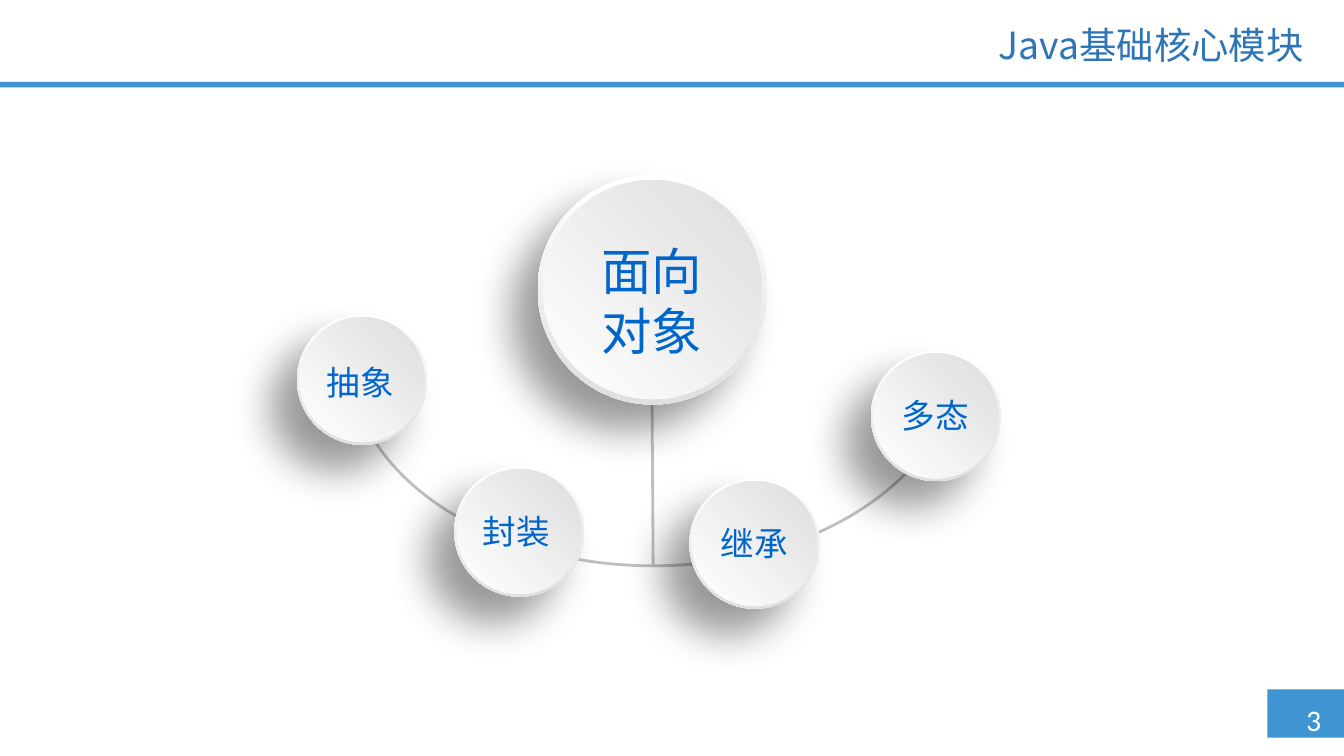
import pptx
import pptx.dml.color
import pptx.enum.shapes
import pptx.enum.text
import pptx.oxml
import pptx.oxml.ns
import pptx.util
from dataclasses import dataclass

Inches = pptx.util.Inches
Pt = pptx.util.Pt
Align = pptx.enum.text.PP_ALIGN
Shape = pptx.enum.shapes.MSO_SHAPE
qn = pptx.oxml.ns.qn


@dataclass(frozen=True)
class Theme:
    bar: str = "3F95D2"
    title: str = "2E75B6"
    label: str = "0066CC"
    page: str = "FFFFFF"
    thread: str = "BFBFBF"
    rim: tuple = ("FFFFFF", "E0E0E0")
    face: tuple = ("FFFFFF", "DDDEDD")
    font: str = "Noto Sans CJK SC"
    page_font: str = "Calibri"
    title_size: int = 20
    hub_size: int = 27
    label_size: int = 18
    page_size: int = 16
    thread_width: float = 1.5


def rgb(color):
    return pptx.dml.color.RGBColor.from_string(color)


def write_text(frame, text, *, font, size, color, align=Align.CENTER, spacing=None):
    frame.word_wrap = True
    frame.vertical_anchor = pptx.enum.text.MSO_ANCHOR.MIDDLE
    paragraph = frame.paragraphs[0]
    paragraph.alignment = align
    if spacing:
        paragraph.line_spacing = spacing
    run = paragraph.add_run()
    run.text = text
    run.font.name = font
    run.font.size = Pt(size)
    run.font.color.rgb = rgb(color)
    east_asian = run.font._element.makeelement(qn("a:ea"), {"typeface": font})
    run.font._element.find(qn("a:latin")).addnext(east_asian)


def curve_points(start, control1, control2, end, steps=40):
    for step in range(steps + 1):
        t = step / steps
        weights = ((1 - t) ** 3, 3 * t * (1 - t) ** 2, 3 * t ** 2 * (1 - t), t ** 3)
        yield tuple(
            sum(weight * value for weight, value in zip(weights, axis))
            for axis in zip(start, control1, control2, end)
        )


class SlideBuilder:
    def __init__(self, slide, theme):
        self.slide = slide
        self.theme = theme

    def bar(self, left, top, width, height):
        shape = self.slide.shapes.add_shape(
            Shape.RECTANGLE, Inches(left), Inches(top), Inches(width), Inches(height))
        shape.shadow.inherit = False
        shape.fill.solid()
        shape.fill.fore_color.rgb = rgb(self.theme.bar)
        shape.line.fill.background()

    def text(self, left, top, width, height, text, **text_format):
        box = self.slide.shapes.add_textbox(
            Inches(left), Inches(top), Inches(width), Inches(height))
        write_text(box.text_frame, text, **text_format)

    def style_thread(self, line):
        line.color.rgb = rgb(self.theme.thread)
        line.width = Pt(self.theme.thread_width)

    def thread(self, x1, y1, x2, y2):
        connector = self.slide.shapes.add_connector(
            pptx.enum.shapes.MSO_CONNECTOR.STRAIGHT,
            Inches(x1), Inches(y1), Inches(x2), Inches(y2))
        self.style_thread(connector.line)
        properties = connector._element.spPr
        properties.append(properties.makeelement(qn("a:effectLst"), {}))

    def curve(self, points):
        points = [(Inches(x), Inches(y)) for x, y in points]
        builder = self.slide.shapes.build_freeform(*points[0])
        builder.add_line_segments(points[1:], close=False)
        shape = builder.convert_to_shape()
        shape.shadow.inherit = False
        shape.fill.background()
        self.style_thread(shape.line)

    def circle(self, group, left, top, diameter, colors, angle):
        shape = group.shapes.add_shape(
            Shape.OVAL, Inches(left), Inches(top), Inches(diameter), Inches(diameter))
        shape.shadow.inherit = False
        shape.line.fill.background()
        shape.fill.gradient()
        shape.fill.gradient_angle = angle
        for stop, color in zip(shape.fill.gradient_stops, colors):
            stop.color.rgb = rgb(color)
        return shape

    def disc(self, left, top, diameter, rim):
        group = self.slide.shapes.add_group_shape()
        base = self.circle(group, left, top, diameter, self.theme.rim, 270)
        self.circle(group, left + rim, top + rim, diameter - 2 * rim, self.theme.face, 45)
        # Soft shadow falling to the lower left
        base._element.spPr.find(qn("a:effectLst")).append(pptx.oxml.parse_xml(
            f'<a:outerShdw {pptx.oxml.ns.nsdecls("a")} blurRad="{Pt(22)}" dist="{Pt(20)}" '
            f'dir="{135 * 60000}" algn="tr" rotWithShape="0">'
            '<a:srgbClr val="000000"><a:alpha val="40000"/></a:srgbClr></a:outerShdw>'))


def main():
    presentation = pptx.Presentation()
    presentation.slide_width = Inches(10)
    presentation.slide_height = Inches(10) * 9 // 16
    theme = Theme()
    builder = SlideBuilder(presentation.slides.add_slide(presentation.slide_layouts[6]), theme)

    # Page furniture
    builder.bar(9.43, 5.13, 0.57, 0.36)
    builder.bar(0, 0.61, 10, 0.04)
    builder.text(9.62, 5.17, 0.52, 0.37, "3", font=theme.page_font,
                 size=theme.page_size, color=theme.page, align=Align.LEFT)

    # Hanging curve, built from two mirrored halves, and its stem
    middle, bottom = 4.86, 4.21
    half = list(curve_points((2.11, 3.22), (1.78, 3.8), (0.96, 4.21), (0, 4.21)))
    builder.curve([(middle + x, y) for x, y in half]
                  + [(middle - x, y) for x, y in half[-2::-1]])
    builder.thread(4.85, 2.73, middle, bottom)

    # Discs first, then their labels on top: name, disc corner, label corner
    concepts = [("抽象", (2.21, 2.34), (2.14, 2.64)),
                ("封装", (3.38, 3.47), (3.3, 3.75)),
                ("继承", (5.13, 3.56), (5.07, 3.84)),
                ("多态", (6.48, 2.61), (6.42, 2.89))]
    builder.disc(4, 1.3, 1.71, rim=0.04)
    for _, corner, _ in concepts:
        builder.disc(*corner, 0.97, rim=0.02)

    builder.text(4.31, 1.73, 1.08, 1.01, "面向对象",
                 font=theme.font, size=theme.hub_size, color=theme.label)
    for name, _, corner in concepts:
        builder.text(*corner, 1.08, 0.4, name,
                     font=theme.font, size=theme.label_size, color=theme.label)

    # Title
    builder.text(2.4, 0.15, 7.4, 0.41, "Java基础核心模块", font=theme.font,
                 size=theme.title_size, color=theme.title, align=Align.RIGHT, spacing=0.9)

    presentation.save("out.pptx")


if __name__ == "__main__":
    main()
